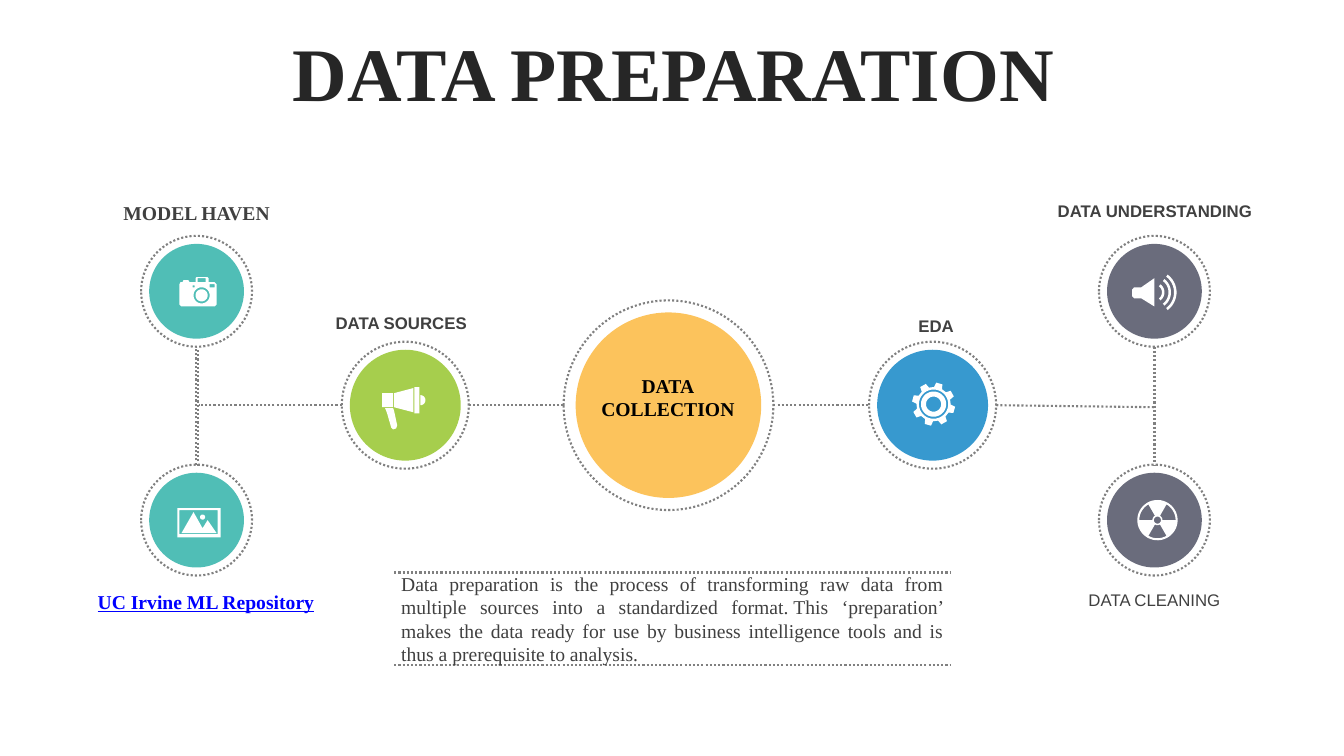
from math import cos, radians, sin

from lxml import etree
from pptx import Presentation
from pptx.dml import color
from pptx.enum import dml, shapes, text
from pptx.oxml import ns
from pptx.util import Inches, Pt

TITLE = "DATA PREPARATION"
SERIF, SANS = "Times New Roman", "Arial"
GREY, INK, WHITE = "808080", "404040", "FFFFFF"
MID = 4.02

NODES = [
    (6.63, MID, 0.92, 1.04, "FBA200", 64),
    (9.25, MID, 0.55, 0.63, "0680C3", 80),
    (11.45, 2.89, 0.47, 0.55, "2C2F45", 70),
    (11.45, 5.16, 0.47, 0.55, "2C2F45", 70),
    (4.02, MID, 0.55, 0.63, "90C221", 80),
    (1.95, 5.16, 0.47, 0.55, "07A398", 70),
    (1.95, 2.89, 0.47, 0.55, "07A398", 70),
]

LINES = [
    (7.67, MID, 8.62, MID),
    (9.88, MID, 11.45, 4.04),
    (11.45, 3.44, 11.45, 4.61),
    (5.59, MID, 4.65, MID),
    (3.39, MID, 1.97, MID),
    (1.96, 4.62, 1.96, 3.46),
    (1.94, 4.61, 1.94, 3.45),
    (3.91, 5.68, 9.42, 5.68),
    (3.91, 6.6, 9.42, 6.6),
]

BODY = (
    "Data preparation is the process of transforming raw data from multiple "
    "sources into a standardized format.\u00a0This ‘preparation’ makes the data ready "
    "for use by business intelligence tools and is thus a prerequisite to analysis."
)

HEAD = dict(size=12, name=SANS, color=INK, bold=True)
PLAIN = dict(size=12, name=SANS, color=INK)
NAME = dict(size=14, name=SERIF, color=INK, bold=True)
CORE = dict(size=14, name=SERIF, color="000000", bold=True)
LINK = dict(size=14, name=SERIF, color="0000FF", bold=True, underline=True)
PROSE = dict(size=14, name=SERIF, color=INK)
BIG = dict(size=54, name=SERIF, color="262626", bold=True)

LABELS = [
    ("DATA\nCOLLECTION", (5.84, 3.66, 1.57, 0.57), CORE, "CENTER", True),
    ("EDA", (8.15, 3.08, 2.27, 0.3), HEAD, "CENTER", True),
    ("DATA UNDERSTANDING", (10.38, 1.94, 2.15, 0.3), HEAD, "CENTER", False),
    ("DATA CLEANING", (10.69, 5.8, 1.52, 0.3), PLAIN, "CENTER", False),
    ("DATA SOURCES", (3.2, 3.05, 1.56, 0.3), HEAD, "CENTER", False),
    ("MODEL HAVEN", (1.08, 1.94, 1.74, 0.34), NAME, "CENTER", False),
    ("UC Irvine ML Repository", (0.87, 5.8, 2.37, 0.34), LINK, "LEFT", False),
    (BODY, (3.88, 5.62, 5.58, 1.04), PROSE, "JUSTIFY", True),
]


def arc(x, y, r, a=0, b=360):
    n = max(6, int(abs(b - a) / 8))
    turns = [radians(a + (b - a) * i / n) for i in range(n + 1)]
    return [(x + r * cos(t), y + r * sin(t)) for t in turns]


def band(x, y, r, s, a, b):
    return arc(x, y, r, a, b) + arc(x, y, s, b, a)


def rect(x, y, r, b):
    return [(x, y), (r, y), (r, b), (x, b)]


def cog(x, y, r, s):
    teeth = [(45 * i + 15.5 + d, q) for i in range(8)
             for d, q in ((-14, r), (-8.5, s), (8.5, s), (14, r))]
    return [(x + q * cos(radians(a)), y + q * sin(radians(a))) for a, q in teeth]


HORN = [(11.45, 2.76), (11.45, 3.04), (11.32, 2.96), (11.25, 2.96),
        (11.23, 2.94), (11.23, 2.87), (11.25, 2.85), (11.32, 2.85)]
GRIP = [(3.82, 4.05), (3.9, 4.05), (3.91, 4.08), (3.94, 4.22), (3.93, 4.25),
        (3.9, 4.26), (3.88, 4.24), (3.84, 4.1)]
CASE = [(1.79, 2.8), (1.81, 2.8), (1.82, 2.78), (1.87, 2.78), (1.88, 2.8),
        (1.94, 2.8), (1.94, 2.76), (1.95, 2.75), (2.06, 2.75), (2.07, 2.76),
        (2.07, 2.8), (2.13, 2.8), (2.15, 2.82), (2.15, 3.02), (2.13, 3.04),
        (1.8, 3.04), (1.78, 3.02), (1.78, 2.82)]
PEAKS = [(1.92, 5.08), (2.01, 5.24), (2.06, 5.16), (2.15, 5.29), (1.8, 5.29)]

ICONS = {
    "speaker": [HORN] + [band(11.45, 2.9, r, r - 0.025, -53, 53)
                         for r in (0.1, 0.165, 0.22)],
    "hazard": [arc(11.48, 5.16, 0.2), arc(11.48, 5.16, 0.035)]
              + [band(11.48, 5.16, 0.18, 0.05, a, a + 60) for a in (60, 180, 300)],
    "bullhorn": [GRIP, arc(4.17, 3.97, 0.05, -90, 90), rect(3.79, 3.9, 3.9, 4.04),
                 [(4.1, 3.85), (4.1, 4.09), (3.91, 4.04), (3.91, 3.9)],
                 rect(4.11, 3.84, 4.16, 4.1)],
    "camera": [CASE, arc(2, 2.93, 0.08), arc(2, 2.93, 0.06),
               rect(1.91, 2.83, 1.93, 2.85), rect(2.08, 2.82, 2.13, 2.85),
               rect(1.96, 2.76, 2.04, 2.8)],
    "photo": [rect(1.76, 5.04, 2.19, 5.33), rect(1.78, 5.06, 2.16, 5.3),
              PEAKS, arc(2.01, 5.13, 0.025)],
    "gear": [cog(9.26, 4.01, 0.17, 0.215)]
            + [arc(9.26, 4.01, r) for r in (0.145, 0.125, 0.075)],
}


def rgb(code):
    return color.RGBColor.from_string(code)


def paint(shape, code, alpha=100):
    shape.fill.solid()
    shape.fill.fore_color.rgb = rgb(code)
    shape.line.fill.background()
    if alpha < 100:
        tone = shape.fill._xPr.find(".//" + ns.qn("a:srgbClr"))
        etree.SubElement(tone, ns.qn("a:alpha"), val=str(alpha * 1000))


def dot(shape):
    shape.line.color.rgb = rgb(GREY)
    shape.line.width = Pt(1.5)
    shape.line.dash_style = dml.MSO_LINE.ROUND_DOT


def style(frame, form, align):
    for para in frame.paragraphs:
        para.alignment = getattr(text.PP_ALIGN, align)
        for run in para.runs:
            for key, val in form.items():
                if key == "color":
                    run.font.color.rgb = rgb(val)
                else:
                    setattr(run.font, key, Pt(val) if key == "size" else val)


def disc(slide, x, y, r):
    oval = slide.shapes.add_shape(
        shapes.MSO_SHAPE.OVAL, *map(Inches, (x - r, y - r, 2 * r, 2 * r)))
    oval.shadow.inherit = False
    return oval


def draw(slide, loops):
    pen = None
    for loop in loops:
        pts = [(Inches(x), Inches(y)) for x, y in loop]
        if pen is None:
            pen = slide.shapes.build_freeform(*pts[0], scale=1.0)
        else:
            pen.move_to(*pts[0])
        pen.add_line_segments(pts[1:], close=True)
    icon = pen.convert_to_shape()
    icon.shadow.inherit = False
    paint(icon, WHITE)


def main():
    deck = Presentation()
    deck.slide_width, deck.slide_height = Inches(13.33), Inches(7.5)
    slide = deck.slides.add_slide(deck.slide_layouts[5])

    title = slide.shapes.title
    for key, val in dict(left=0.35, top=0.37, width=12.66, height=0.79).items():
        setattr(title, key, Inches(val))
    frame = title.text_frame
    frame.text = TITLE
    frame.vertical_anchor = text.MSO_ANCHOR.MIDDLE
    frame.paragraphs[0].line_spacing = 0.9
    style(frame, BIG, "CENTER")

    for x, y, r, ring, code, alpha in NODES:
        paint(disc(slide, x, y, r), code, alpha)
        edge = disc(slide, x, y, ring)
        edge.fill.background()
        dot(edge)

    for ends in LINES:
        link = slide.shapes.add_connector(
            shapes.MSO_CONNECTOR.STRAIGHT, *map(Inches, ends))
        dot(link)
        etree.SubElement(link._element.spPr, ns.qn("a:effectLst"))

    for words, place, form, align, wrap in LABELS:
        frame = slide.shapes.add_textbox(*map(Inches, place)).text_frame
        frame.text = words
        frame.word_wrap = wrap
        frame.auto_size = text.MSO_AUTO_SIZE.SHAPE_TO_FIT_TEXT
        style(frame, form, align)

    for loops in ICONS.values():
        draw(slide, loops)

    deck.save("out.pptx")


if __name__ == "__main__":
    main()
